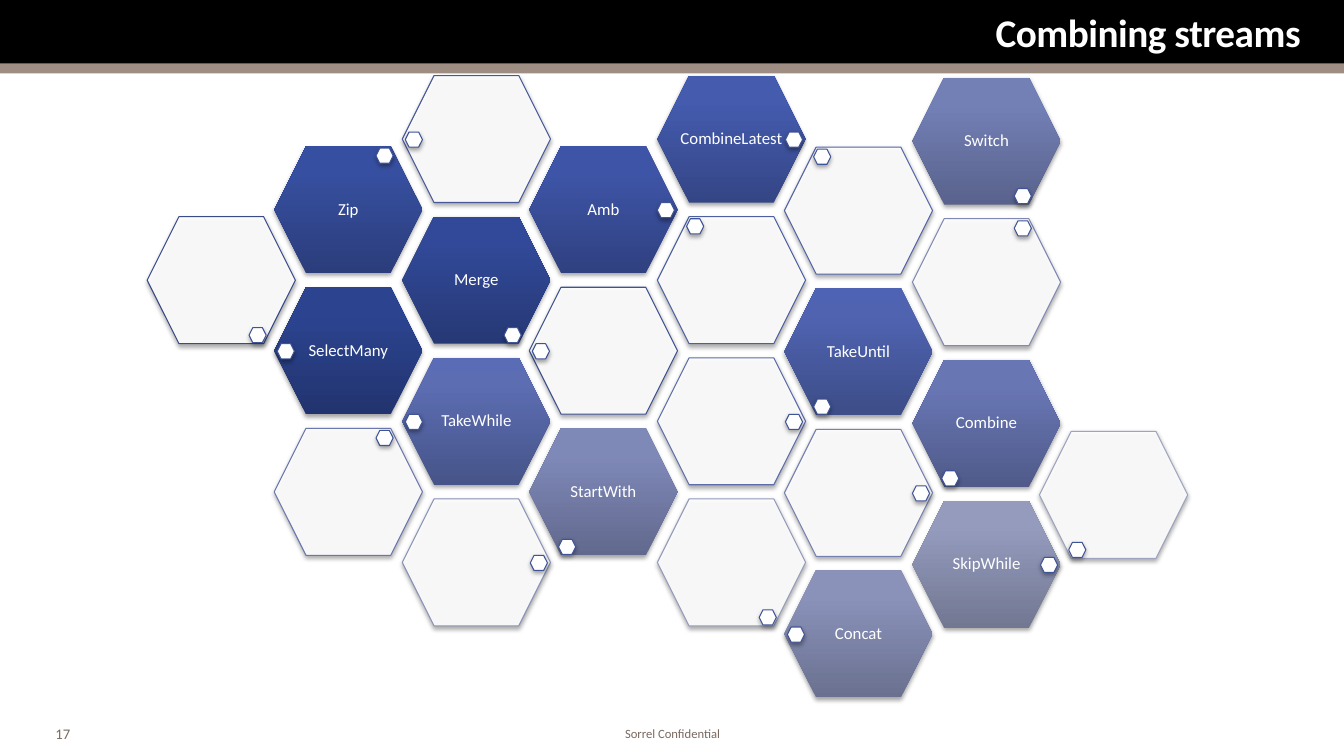
from lxml.etree import SubElement
from pptx import Presentation
from pptx.dml.color import RGBColor
from pptx.enum.shapes import MSO_SHAPE
from pptx.enum.text import MSO_ANCHOR, PP_ALIGN
from pptx.oxml.ns import qn
from pptx.util import Pt

PX = 9144  # 100 px to the inch
COLORS = {"black": "000000", "white": "FFFFFF", "taupe": "9E8D83",
          "footer": "7A695F", "dot line": "3F5497"}
HEX_WIDTH, HEX_HEIGHT = 147, 126
DOT_WIDTH, DOT_HEIGHT = 17, 15
# Offset of the small hexagon from the corner of its large one
DOT_OFFSETS = {"left": (3, 56), "right": (127, 56),
               "top left": (29, 2), "top right": (101, 2),
               "bottom left": (29, 110), "bottom right": (101, 110)}

# label, column, half row, place of dot, colours (gradient from the bottom, or line)
HEXAGONS = [
    ("SelectMany", 1, 3, "left", ("22346F", "2C4490", "2A4393")),
    ("", 0, 2, "bottom right", "394C89"),
    ("Merge", 2, 2, "bottom right", ("263875", "314998", "30499B")),
    ("", 3, 3, "left", "3F5291"),
    ("Zip", 1, 1, "top right", ("2B3D7B", "374FA0", "364EA3")),
    ("", 2, 0, "left", "465899"),
    ("Amb", 3, 1, "right", ("304181", "3E55A7", "3C54AA")),
    ("", 4, 2, "top left", "4C5FA0"),
    ("CombineLatest", 4, 0, "right", ("354686", "445BAE", "435AB1")),
    ("", 5, 1, "top left", "5365A7"),
    ("TakeUntil", 5, 3, "bottom left", ("3D4D88", "4F63B1", "4E63B4")),
    ("", 4, 4, "right", "5D6DAB"),
    ("TakeWhile", 2, 4, "left", ("465489", "5C6DB2", "5A6CB5")),
    ("", 1, 5, "top right", "6977AE"),
    ("Combine", 6, 4, "bottom left", ("505B8A", "6876B4", "6776B6")),
    ("", 5, 5, "right", "7480B0"),
    ("Switch", 6, 0, "bottom right", ("59628C", "7380B6", "737FB8")),
    ("", 6, 2, "top right", "7F89B4"),
    ("StartWith", 3, 5, "bottom left", ("62698E", "7F89B8", "7E89BA")),
    ("", 2, 6, "right", "8992B7"),
    ("Concat", 5, 7, "left", ("6A7190", "8A92BA", "8992BC")),
    ("", 4, 6, "bottom right", "949BBB"),
    ("SkipWhile", 6, 6, "right", ("727892", "949BBD", "949BBF")),
    ("", 7, 5, "bottom left", "9EA3BF"),
]

deck = Presentation()
deck.slide_width, deck.slide_height = 1333 * PX, 750 * PX
page = deck.slides.add_slide(deck.slide_layouts[6])


def add_hexagon(left, top, width, height, line=None):
    """White hexagon with a soft shadow; without a line colour it has no outline."""
    shape = page.shapes.add_shape(MSO_SHAPE.HEXAGON, left * PX, top * PX,
                                  width * PX, height * PX)
    shape.fill.solid()
    shape.fill.fore_color.rgb = RGBColor.from_string(COLORS["white"])
    if line:
        shape.line.color.rgb = RGBColor.from_string(line)
        shape.line.width = Pt(0.75)
    else:
        shape.line.fill.background()
    shape.shadow.inherit = False
    effects = shape._element.spPr.find(qn("a:effectLst"))
    shadow = SubElement(effects, qn("a:outerShdw"), blurRad="40000", dist="23000",
                        dir="5400000", rotWithShape="0")
    shade = SubElement(shadow, qn("a:srgbClr"), val=COLORS["black"])
    SubElement(shade, qn("a:alpha"), val="35000")
    return shape


def write(para, text, size, color, align):
    para.alignment = align
    span = para.add_run()
    span.text = text
    span.font.name = "Calibri"
    span.font.size = Pt(size)
    span.font.color.rgb = RGBColor.from_string(COLORS[color])
    return span


for top, height, color in [(0, 65, "black"), (63, 10, "taupe")]:
    band = page.shapes.add_shape(MSO_SHAPE.RECTANGLE, 0, top * PX, 1333 * PX, height * PX)
    band.fill.solid()
    band.fill.fore_color.rgb = RGBColor.from_string(COLORS[color])
    band.line.fill.background()
    band.shadow.inherit = False

for text, left, top, width, height, inset, size, color, align in [
    ("17", 46, 715, 50, 27, 9, 10.5, "footer", PP_ALIGN.LEFT),
    ("Sorrel Confidential", 407, 716, 520, 24, 9, 9, "footer", PP_ALIGN.CENTER),
    ("Combining streams", 41, 7, 1253, 50, 4, 28, "white", PP_ALIGN.RIGHT),
]:
    box = page.shapes.add_textbox(left * PX, top * PX, width * PX, height * PX)
    frame = box.text_frame
    frame.word_wrap = True
    frame.margin_left = frame.margin_right = inset * PX
    frame.margin_top = frame.margin_bottom = 4 * PX
    span = write(frame.paragraphs[0], text, size, color, align)
    if text == "Combining streams":
        frame.vertical_anchor = MSO_ANCHOR.MIDDLE
        span.font.bold = True
        span.font._element.set("spc", "-30")

for label, column, half_row, place, colors in HEXAGONS:
    left = 146 + column * 253 // 2
    top = 75 + half_row * 70 + max(0, column - 4)
    if label:
        cell = add_hexagon(left, top, HEX_WIDTH, HEX_HEIGHT)
        cell.fill.gradient()
        cell.fill.gradient_angle = 90
        stops = cell._element.spPr.find(qn("a:gradFill")).find(qn("a:gsLst"))
        for stop in list(stops):
            stops.remove(stop)
        for position, color in zip((0, 80000, 100000), colors):
            stop = SubElement(stops, qn("a:gs"), pos=str(position))
            SubElement(stop, qn("a:srgbClr"), val=color)
        frame = cell.text_frame
        frame.word_wrap = False
        frame.vertical_anchor = MSO_ANCHOR.MIDDLE
        frame.margin_left = frame.margin_right = 0
        frame.margin_top = frame.margin_bottom = 2 * PX
        para = frame.paragraphs[0]
        para.line_spacing = 0.9
        write(para, label, 12, "white", PP_ALIGN.CENTER)
    else:
        cell = add_hexagon(left, top, HEX_WIDTH, HEX_HEIGHT, colors)
        white = cell._element.spPr.find(qn("a:solidFill")).find(qn("a:srgbClr"))
        SubElement(white, qn("a:alpha"), val="90000")
    across, down = DOT_OFFSETS[place]
    add_hexagon(left + across, top + down, DOT_WIDTH, DOT_HEIGHT, COLORS["dot line"])

deck.save("out.pptx")
